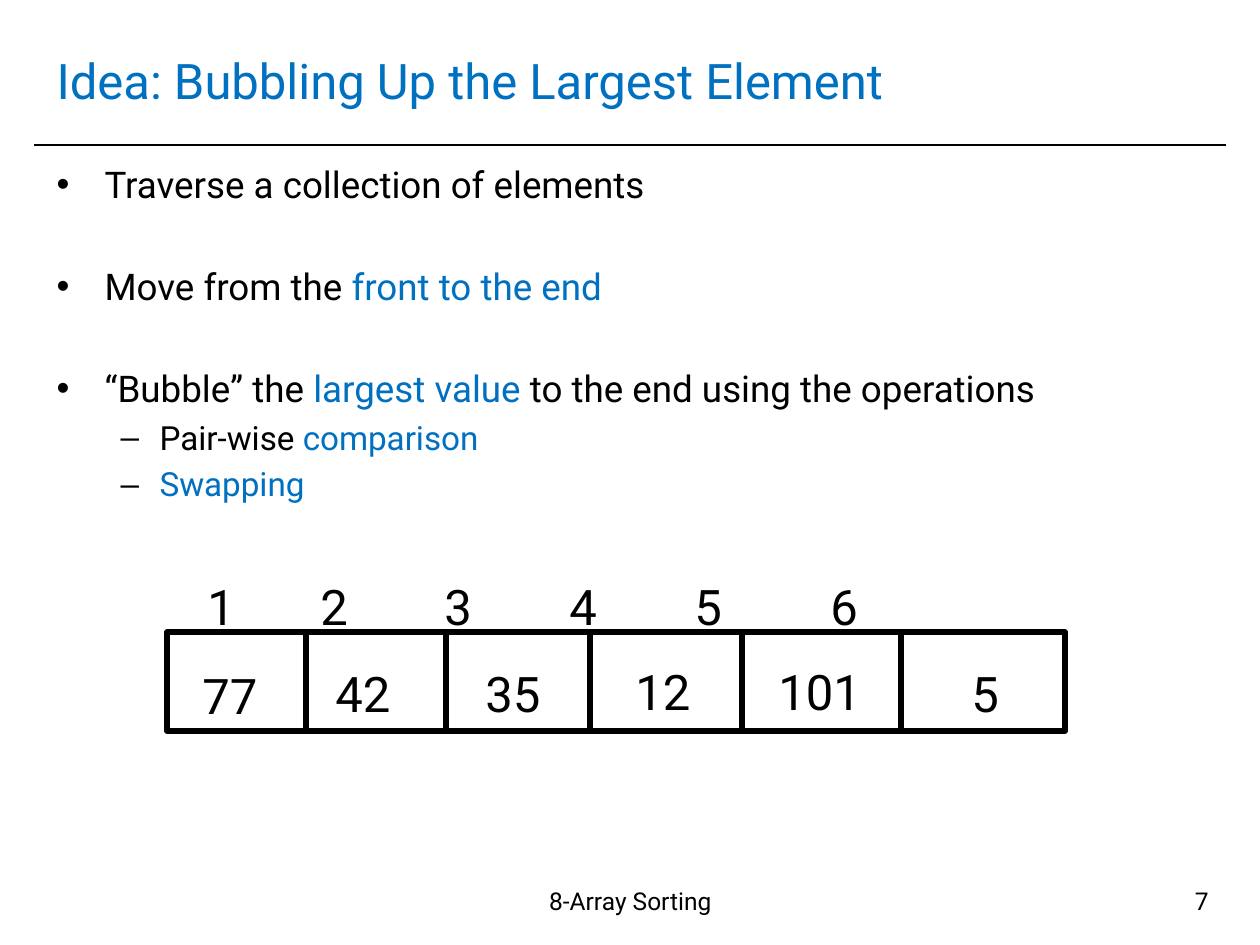
"""Build the slide that introduces bubbling up the largest element."""
from typing import NamedTuple

from lxml import etree
from pptx import Presentation
from pptx.dml.color import RGBColor
from pptx.enum.shapes import MSO_CONNECTOR, MSO_SHAPE
from pptx.enum.text import MSO_ANCHOR, MSO_AUTO_SIZE, PP_ALIGN
from pptx.oxml.ns import qn
from pptx.util import Emu, Pt

STRAIGHT = MSO_CONNECTOR.STRAIGHT
RECTANGLE = MSO_SHAPE.RECTANGLE
MIDDLE, TOP = MSO_ANCHOR.MIDDLE, MSO_ANCHOR.TOP
NO_AUTOFIT = MSO_AUTO_SIZE.NONE
LEFT, CENTER, RIGHT = PP_ALIGN.LEFT, PP_ALIGN.CENTER, PP_ALIGN.RIGHT

BLACK = RGBColor(0x00, 0x00, 0x00)
BLUE = RGBColor(0x00, 0x70, 0xC0)
FONT_NAME = "Roboto"
PX_PER_INCH = 126


class Box(NamedTuple):
    left: int
    top: int
    width: int
    height: int


class Phrase(NamedTuple):
    text: str
    color: RGBColor = BLACK


class Level(NamedTuple):
    bullet: str
    margin: int
    hanging: int
    size: int


class Point(NamedTuple):
    level: int
    space_before: int
    phrases: tuple[Phrase, ...]


class Value(NamedTuple):
    text: str
    left: int
    top: int
    width: int


LEVELS = (Level("•", 48, 48, 21), Level("–", 103, 39, 19))
POINTS = (
    Point(0, 0, (Phrase("Traverse a collection of elements"),)),
    Point(0, 33, (Phrase("Move from the "), Phrase("front to the end", BLUE))),
    Point(0, 33, (Phrase("“Bubble” the "), Phrase("largest value ", BLUE),
                  Phrase("to the end using the operations"))),
    Point(1, 4, (Phrase("Pair-wise "), Phrase("comparison", BLUE))),
    Point(1, 4, (Phrase("Swapping", BLUE),)),
)
ARRAY = Box(167, 632, 898, 99)
DIVIDERS = (306, 446, 590, 742, 901)
VALUES = (
    Value("77", 190, 659, 92),
    Value("42", 323, 657, 92),
    Value("35", 473, 657, 92),
    Value("12", 623, 655, 92),
    Value("101", 766, 655, 120),
    Value("5", 959, 657, 64),
)
VALUE_HEIGHT = 72
INDEX_TABS = (48, 161, 285, 410, 535, 671)


def px(length: int) -> Emu:
    """Turn pixels into EMU."""
    return Emu(round(length * 914400 / PX_PER_INCH))


def apply_format(target, values: dict) -> None:
    """Set each named attribute on the target."""
    for name, value in values.items():
        setattr(target, name, value)


def place(shape, box: Box) -> None:
    """Move and size a shape."""
    apply_format(shape, {side: px(length) for side, length in box._asdict().items()})


def add_phrase(paragraph, phrase: Phrase, size: int) -> None:
    """Append one coloured run."""
    run = paragraph.add_run()
    run.text = phrase.text
    apply_format(run.font, {"name": FONT_NAME, "size": Pt(size)})
    run.font.color.rgb = phrase.color


def add_label(slide, box: Box, text: str, size: int, align=LEFT):
    """Add a one-paragraph text box and return its paragraph."""
    frame = slide.shapes.add_textbox(*map(px, box)).text_frame
    apply_format(frame, {"word_wrap": True, "auto_size": NO_AUTOFIT})
    paragraph = frame.paragraphs[0]
    paragraph.alignment = align
    add_phrase(paragraph, Phrase(text), size)
    return paragraph


def add_line(slide, start: tuple[int, int], end: tuple[int, int], weight: int) -> None:
    """Add a black line without a shadow."""
    line = slide.shapes.add_connector(STRAIGHT, *map(px, start + end))
    line.line.color.rgb = BLACK
    line.line.width = Pt(weight)
    etree.SubElement(line._element.spPr, qn("a:effectLst"))


def set_bullet(paragraph, level: Level) -> None:
    """Give a paragraph its indent and black bullet."""
    properties = paragraph._p.get_or_add_pPr()
    properties.set("marL", str(px(level.margin)))
    properties.set("indent", str(-px(level.hanging)))
    color = etree.SubElement(properties, qn("a:buClr"))
    etree.SubElement(color, qn("a:srgbClr"), val=str(BLACK))
    etree.SubElement(properties, qn("a:buChar"), char=level.bullet)


def set_tabs(paragraph, stops: tuple[int, ...]) -> None:
    """Give a paragraph left tab stops."""
    tabs = etree.SubElement(paragraph._p.get_or_add_pPr(), qn("a:tabLst"))
    for stop in stops:
        etree.SubElement(tabs, qn("a:tab"), pos=str(px(stop)), algn="l")


def fill_title(title) -> None:
    """Format and fill the title placeholder."""
    place(title, Box(44, 26, 1171, 107))
    apply_format(title.text_frame, {"vertical_anchor": MIDDLE, "auto_size": NO_AUTOFIT})
    heading = title.text_frame.paragraphs[0]
    heading.alignment = LEFT
    add_phrase(heading, Phrase("Idea: Bubbling Up the Largest Element", BLUE), 28)


def fill_body(body) -> None:
    """Format and fill the body placeholder."""
    place(body, Box(44, 155, 1171, 704))
    frame = body.text_frame
    apply_format(frame, {"vertical_anchor": TOP, "auto_size": NO_AUTOFIT,
                         "margin_top": px(7)})
    for number, point in enumerate(POINTS):
        paragraph = frame.add_paragraph() if number else frame.paragraphs[0]
        level = LEVELS[point.level]
        set_bullet(paragraph, level)
        apply_format(paragraph, {"level": point.level,
                                 "space_before": Pt(point.space_before)})
        for phrase in point.phrases:
            add_phrase(paragraph, phrase, level.size)


def draw_array(slide) -> None:
    """Draw the array with its dividers, values and indices."""
    outline = slide.shapes.add_shape(RECTANGLE, *map(px, ARRAY))
    outline.shadow.inherit = False
    outline.fill.background()
    outline.line.color.rgb = BLACK
    outline.line.width = Pt(3)
    for x in DIVIDERS:
        add_line(slide, (x, ARRAY.top), (x, ARRAY.top + ARRAY.height), 3)
    for value in VALUES:
        box = Box(value.left, value.top, value.width, VALUE_HEIGHT)
        add_label(slide, box, value.text, 28)
    index_text = "".join(f"\t{index}" for index in range(1, len(VALUES) + 1))
    indices = add_label(slide, Box(147, 570, 977, VALUE_HEIGHT), index_text, 28)
    set_tabs(indices, INDEX_TABS)


def main() -> None:
    """Build and save the presentation."""
    presentation = Presentation()
    apply_format(presentation, {"slide_width": px(1260), "slide_height": px(945)})
    slide = presentation.slides.add_slide(presentation.slide_layouts[1])
    add_line(slide, (34, 145), (1226, 145), 1)
    fill_title(slide.shapes.title)
    fill_body(slide.placeholders[1])
    add_label(slide, Box(422, 880, 417, 66), "8-Array Sorting", 14, CENTER)
    add_label(slide, Box(927, 880, 294, 66), "7", 14, RIGHT)
    draw_array(slide)
    presentation.save("out.pptx")


if __name__ == "__main__":
    main()
